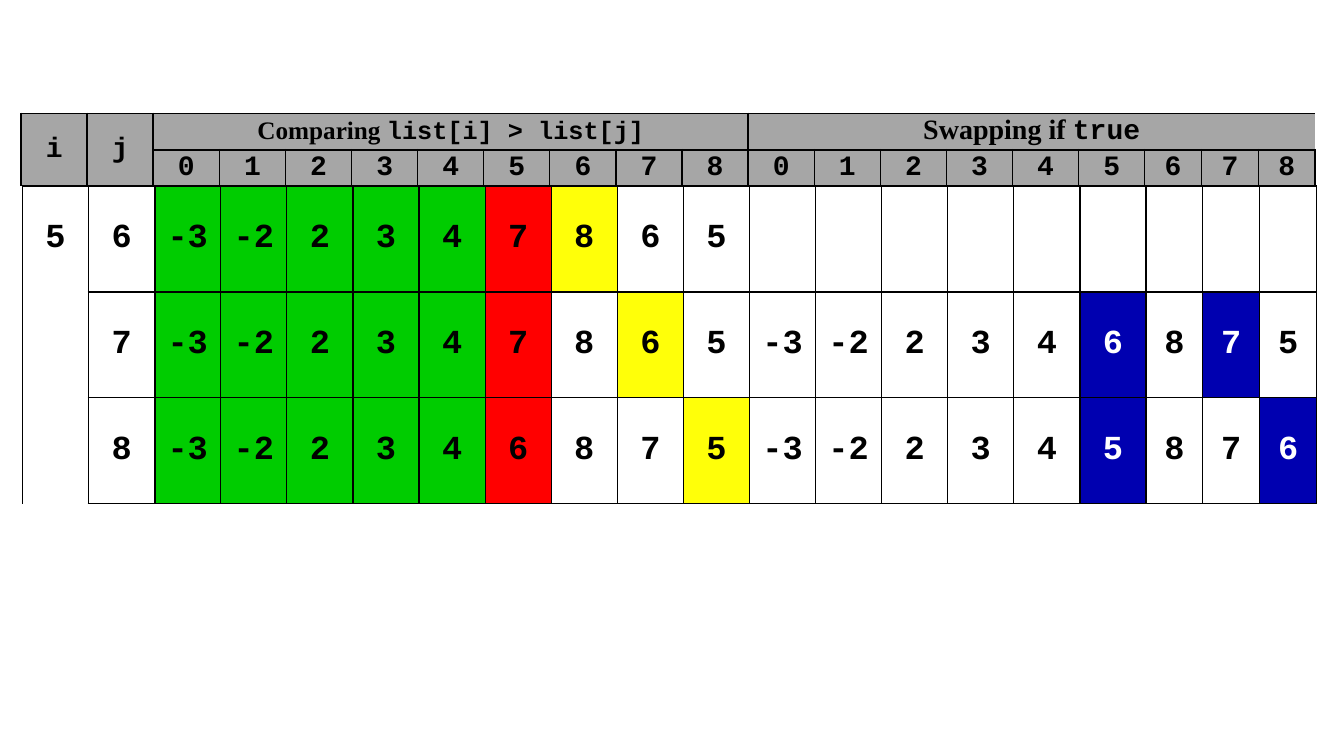
"""Build a slide that traces one outer pass of an exchange sort, comparison by comparison."""
import pptx
import pptx.dml.color
import pptx.enum.text
import pptx.oxml
import pptx.oxml.ns
import pptx.util

THEME = {
    "heading": "A6A6A6", "sorted": "00CC00", "current": "FF0000",
    "compared": "FFFF09", "swapped": "0000B0", "plain": None,
    "ink": "000000", "inverse": "FFFFFF",
    "code": "Courier New", "prose": "Times New Roman",
    "small": 18, "medium": 20, "large": 24, "thick": 1.5, "thin": 1,
}
CELL_FORMAT = {
    "margin_left": pptx.util.Inches(0.07), "margin_right": pptx.util.Inches(0.07),
    "margin_top": 0, "margin_bottom": 0,
    "vertical_anchor": pptx.enum.text.MSO_ANCHOR.MIDDLE,
}
GROUP_EDGES = (0, 1, 2, 11, 20)


def trace_table(slide, left, top, column_widths, row_heights):
    """Add an unbanded table with the given grid."""
    frame = slide.shapes.add_table(len(row_heights), len(column_widths), left, top,
                                   sum(column_widths), sum(row_heights))
    for flag in ("first_row", "horz_banding"):
        setattr(frame.table, flag, False)
    for column, width in zip(frame.table.columns, column_widths):
        column.width = width
    for row, height in zip(frame.table.rows, row_heights):
        row.height = height
    return frame.table


def fill_cell(cell, runs, role, borders):
    """Draw borders (left, right, top, bottom), then the fill and the text runs."""
    properties = cell._tc.get_or_add_tcPr()
    for side, weight in zip("LRTB", borders):
        paint = f'<a:solidFill><a:srgbClr val="{THEME["ink"]}"/></a:solidFill>' if weight else "<a:noFill/>"
        properties.append(pptx.oxml.parse_xml(
            f'<a:ln{side} {pptx.oxml.ns.nsdecls("a")} w="{pptx.util.Pt(weight)}">{paint}</a:ln{side}>'))
    if THEME[role]:
        cell.fill.solid()
        cell.fill.fore_color.rgb = pptx.dml.color.RGBColor.from_string(THEME[role])
    else:
        cell.fill.background()
    for name, value in CELL_FORMAT.items():
        setattr(cell, name, value)
    paragraph = cell.text_frame.paragraphs[0]
    paragraph.alignment = pptx.enum.text.PP_ALIGN.CENTER
    ink = THEME["inverse" if role == "swapped" else "ink"]
    for text, face, size in runs:
        run = paragraph.add_run()
        run.text = text
        font_format = {"name": THEME[face], "size": pptx.util.Pt(THEME[size]), "bold": True}
        for name, value in font_format.items():
            setattr(run.font, name, value)
        run.font.color.rgb = pptx.dml.color.RGBColor.from_string(ink)


deck = pptx.Presentation()
deck.slide_width = pptx.util.Inches(13.33)
deck.slide_height = pptx.util.Inches(7.5)
slide = deck.slides.add_slide(deck.slide_layouts[6])

wide = int(deck.slide_width / 20.33)
narrow = int(wide * 0.86)
column_widths = [wide] * 17 + [narrow] * 3
heading_row = int(wide * 0.55)
step_row = int(deck.slide_height * 0.14)
heading_top = int(deck.slide_height * 0.15)
step_top = heading_top + 2 * heading_row

thick, thin = THEME["thick"], THEME["thin"]
edge_weights = [thick if edge in GROUP_EDGES else thin for edge in range(21)]

heading = trace_table(slide, int(wide * 0.32), heading_top, column_widths, [heading_row] * 2)
titles = {
    0: [("i", "code", "medium")],
    1: [("j", "code", "medium")],
    2: [("Comparing ", "prose", "small"), ("list[i] > list[j]", "code", "small")],
    11: [("Swapping if ", "prose", "medium"), ("true", "code", "medium")],
}
for column in range(20):
    is_counter = column < 2
    sides = edge_weights[column:column + 2]
    title_sides = [weight if weight == thick else 0 for weight in sides]
    middle = 0 if is_counter else thick
    index_runs = [] if is_counter else [(str((column - 2) % 9), "code", "medium")]
    fill_cell(heading.cell(0, column), titles.get(column, []), "heading", [*title_sides, thick, middle])
    fill_cell(heading.cell(1, column), index_runs, "heading",
              [*sides, middle, thin if is_counter else thick])
for first, last in (((0, 0), (1, 0)), ((0, 1), (1, 1)), ((0, 2), (0, 10)), ((0, 11), (0, 19))):
    heading.cell(*first).merge(heading.cell(*last))

steps = trace_table(slide, int(wide * 0.34), step_top, column_widths, [step_row] * 3)
values = [-3, -2, 2, 3, 4, 7, 8, 6, 5]
i = 5
for row, j in enumerate(range(i + 1, len(values))):
    compare_roles = ["sorted"] * i + ["current"] + ["plain"] * (len(values) - i - 1)
    compare_roles[j] = "compared"
    swap_roles = ["plain"] * len(values)
    compared, swapped = list(values), [""] * len(values)
    if values[i] > values[j]:
        values[i], values[j] = values[j], values[i]
        swapped = list(values)
        swap_roles[i] = swap_roles[j] = "swapped"
    entries = [i if row == 0 else "", j, *compared, *swapped]
    roles = ["plain", "plain", *compare_roles, *swap_roles]
    top_weight = thick if row == 0 else thin
    for column, (entry, role) in enumerate(zip(entries, roles)):
        is_open = column == 0
        borders = [*edge_weights[column:column + 2],
                   0 if is_open and row else top_weight, 0 if is_open else thin]
        runs = [(str(entry), "code", "large")] if entry != "" else []
        fill_cell(steps.cell(row, column), runs, role, borders)

deck.save("out.pptx")
